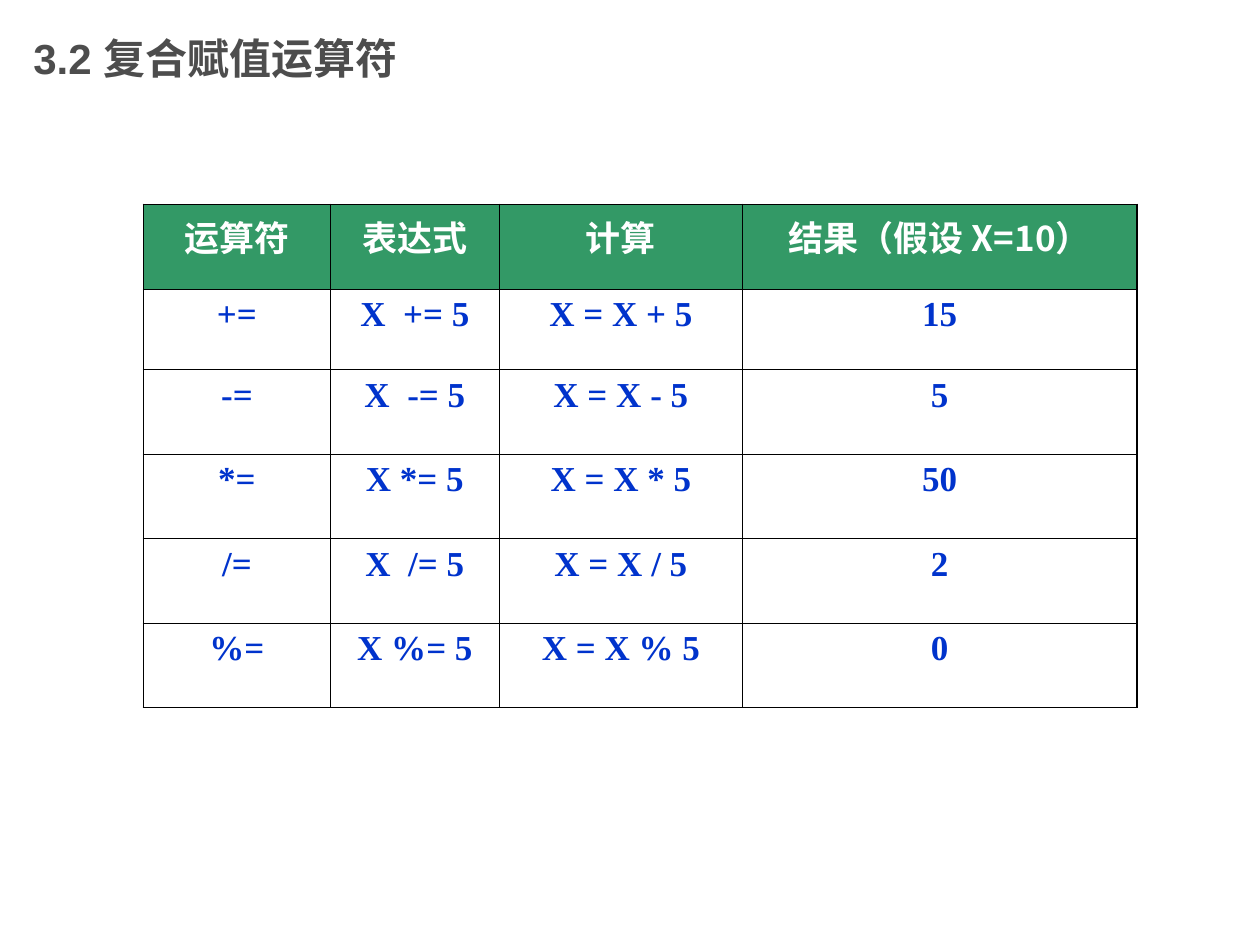
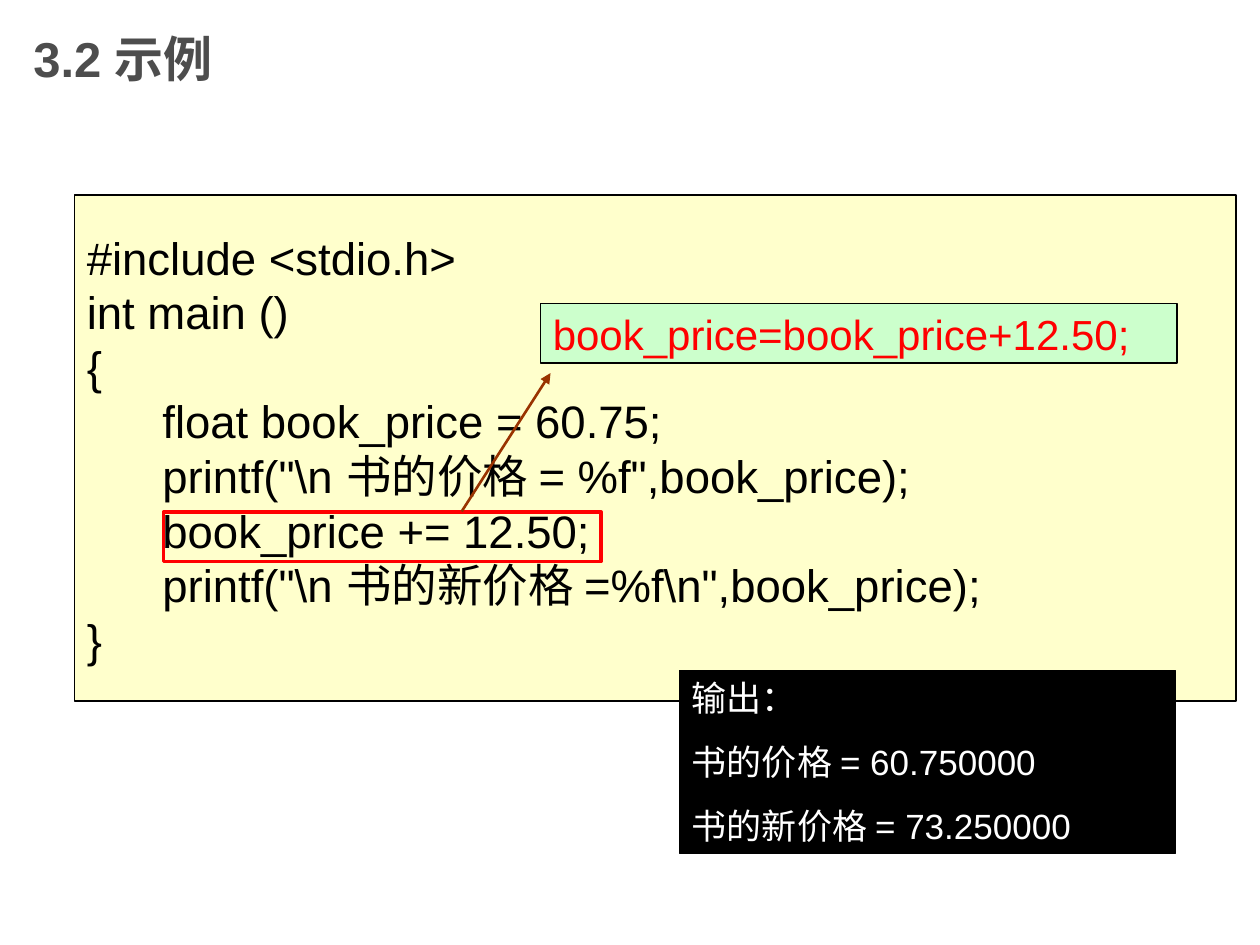
from lxml import etree
from pptx import Presentation
from pptx.dml.color import RGBColor
from pptx.enum.shapes import MSO_CONNECTOR, MSO_SHAPE
from pptx.enum.text import MSO_ANCHOR, PP_ALIGN
from pptx.oxml.ns import qn
from pptx.util import Pt

RECTANGLE = MSO_SHAPE.RECTANGLE
STRAIGHT = MSO_CONNECTOR.STRAIGHT
TOP, MIDDLE = MSO_ANCHOR.TOP, MSO_ANCHOR.MIDDLE
LEFT, CENTER = PP_ALIGN.LEFT, PP_ALIGN.CENTER

BLACK = RGBColor(0x00, 0x00, 0x00)
WHITE = RGBColor(0xFF, 0xFF, 0xFF)
TITLE_GREY = RGBColor(0x4D, 0x4D, 0x4D)
HEADER_GREEN = RGBColor(0x33, 0x99, 0x66)
CELL_BLUE = RGBColor(0x00, 0x33, 0xCC)
CODE_YELLOW = RGBColor(0xFF, 0xFF, 0xCC)
NOTE_GREEN = RGBColor(0xCC, 0xFF, 0xCC)
RED = RGBColor(0xFF, 0x00, 0x00)
ARROW_BROWN = RGBColor(0x99, 0x33, 0x00)

LATIN, CJK, SERIF = "Arial", "Noto Sans CJK SC", "Times New Roman"
THIN, THICK = 0.45, 1.08


def put_text(frame, text, size, color, font=LATIN, bold=False, align=LEFT,
             anchor=MIDDLE, line_height=None, gap=0):
    """Write one paragraph per line of text; gap is the space between them."""
    frame.word_wrap = True
    frame.vertical_anchor = anchor
    for number, line in enumerate(text.split("\n")):
        paragraph = frame.add_paragraph() if number else frame.paragraphs[0]
        paragraph.alignment = align
        if line_height:
            paragraph.line_spacing = Pt(line_height)
        if number and gap:
            paragraph.space_before = Pt(gap)
        run = paragraph.add_run()
        run.text = line
        run.font.size = Pt(size)
        run.font.bold = bold
        run.font.name = font
        run.font.color.rgb = color
        east_asian = etree.SubElement(run.font._element, qn("a:ea"))
        east_asian.set("typeface", CJK)


def add_box(slide, left, top, width, height, fill, line, line_width=0.75):
    box = slide.shapes.add_shape(RECTANGLE, Pt(left), Pt(top), Pt(width), Pt(height))
    box.shadow.inherit = False
    if fill is None:
        box.fill.background()
    else:
        box.fill.solid()
        box.fill.fore_color.rgb = fill
    box.line.color.rgb = line
    box.line.width = Pt(line_width)
    return box


prs = Presentation()
prs.slide_width, prs.slide_height = Pt(720), Pt(540)

# Both slides: blank layout and a title at the top left
slides = []
for title, title_size in (("3.2 复合赋值运算符", 24), ("3.2 示例", 28)):
    slide = prs.slides.add_slide(prs.slide_layouts[6])
    heading = slide.shapes.add_textbox(Pt(12), Pt(0), Pt(540), Pt(66))
    put_text(heading.text_frame, title, title_size, TITLE_GREY, bold=True)
    slides.append(slide)
operators_slide, example_slide = slides

# Slide 1: table of compound assignment operators
operator_rows = [
    ("运算符", "表达式", "计算", "结果（假设 X=10）"),
    ("+=", "X  += 5", "X = X + 5", "15"),
    ("-=", "X  -= 5", "X = X - 5", "5"),
    ("*=", "X *= 5", "X = X * 5", "50"),
    ("/=", "X  /= 5", "X = X / 5", "2"),
    ("%=", "X %= 5", "X = X % 5", "0"),
]
column_widths = [106.8, 96.6, 138.9, 225.4]
row_heights = [48.3, 46.2] + [48.3] * 4
last_row, last_column = len(row_heights) - 1, len(column_widths) - 1

operators = operators_slide.shapes.add_table(
    len(row_heights), len(column_widths), Pt(82), Pt(116.8),
    Pt(sum(column_widths)), Pt(sum(row_heights))).table
operators.first_row = operators.horz_banding = False
for column, width in zip(operators.columns, column_widths):
    column.width = Pt(width)
for row, height in zip(operators.rows, row_heights):
    row.height = Pt(height)

for r, values in enumerate(operator_rows):
    for c, value in enumerate(values):
        cell = operators.cell(r, c)
        is_header = r == 0
        put_text(cell.text_frame, value, 20, WHITE if is_header else CELL_BLUE,
                 font=CJK if is_header else SERIF, bold=True, align=CENTER, anchor=TOP)
        outer_sides = {"a:lnL": c == 0, "a:lnR": c == last_column,
                       "a:lnT": r == 0, "a:lnB": r == last_row}
        properties = cell._tc.get_or_add_tcPr()
        for side, is_outer in outer_sides.items():
            border = etree.SubElement(properties, qn(side))
            border.set("w", str(Pt(THICK if is_outer else THIN)))
            paint = etree.SubElement(border, qn("a:solidFill"))
            etree.SubElement(paint, qn("a:srgbClr")).set("val", str(BLACK))
        if is_header:
            cell.fill.solid()
            cell.fill.fore_color.rgb = HEADER_GREEN
        else:
            cell.fill.background()

# Slide 2: program, highlighted statement with its meaning, and output
program = r"""#include <stdio.h>
int main ()
{
      float book_price = 60.75;
      printf("\n 书的价格 = %f",book_price);
      book_price += 12.50;
      printf("\n 书的新价格 =%f\n",book_price);
}"""
code_panel = add_box(example_slide, 42.5, 111.4, 663.8, 289.2, CODE_YELLOW, BLACK)
put_text(code_panel.text_frame, program, 26, BLACK, line_height=31.2)

expanded_form = add_box(example_slide, 308.8, 173.4, 363.8, 34, NOTE_GREEN, BLACK)
put_text(expanded_form.text_frame, "book_price=book_price+12.50;", 24, RED)

add_box(example_slide, 93.5, 292.5, 250, 28.4, None, RED, 2)

arrow = example_slide.shapes.add_connector(
    STRAIGHT, Pt(263.8), Pt(292.3), Pt(314.6), Pt(213.2))
arrow.line.color.rgb = ARROW_BROWN
arrow.line.width = Pt(1.5)
etree.SubElement(arrow.line._get_or_add_ln(), qn("a:tailEnd")).set("type", "triangle")
etree.SubElement(arrow._element.spPr, qn("a:effectLst"))

output = "输出：\n书的价格 = 60.750000\n书的新价格 = 73.250000"
output_panel = add_box(example_slide, 388.3, 383.2, 283.5, 104.4, BLACK, BLACK)
put_text(output_panel.text_frame, output, 20, WHITE, anchor=TOP, line_height=24, gap=12.5)

prs.save("out.pptx")
